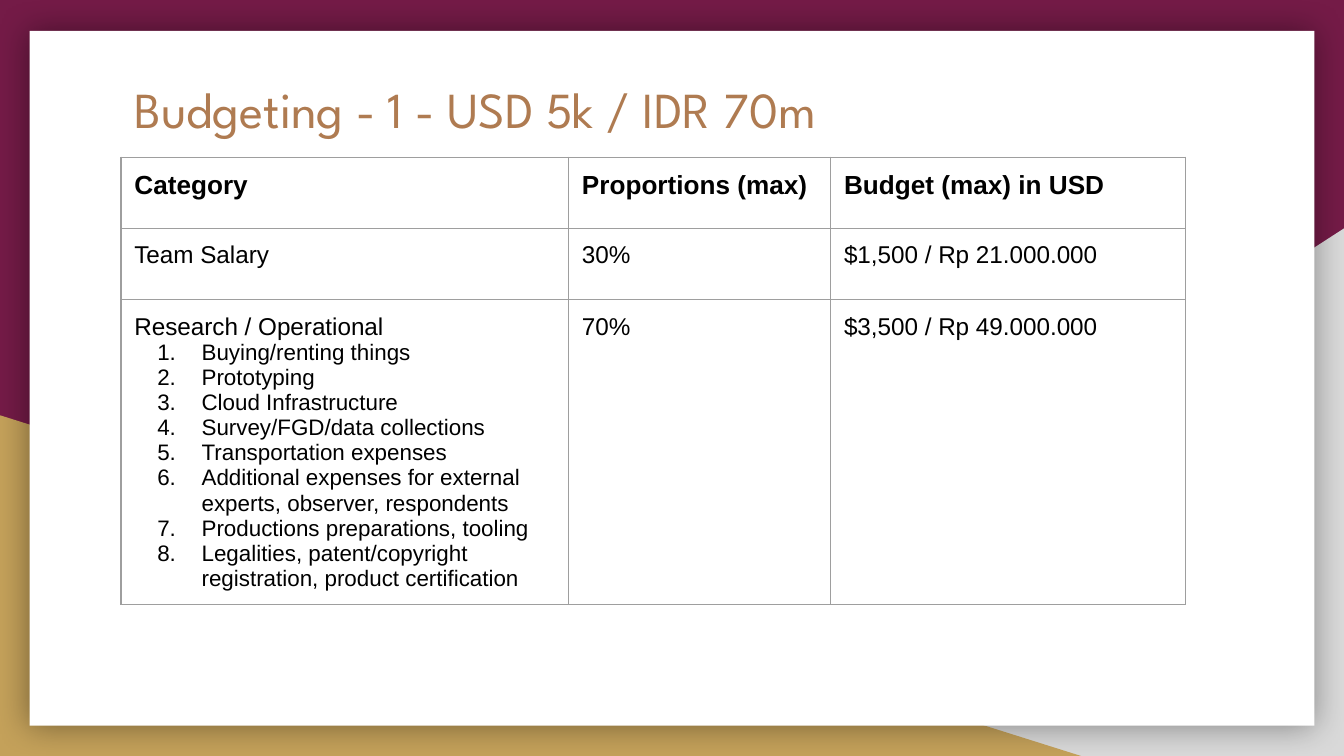
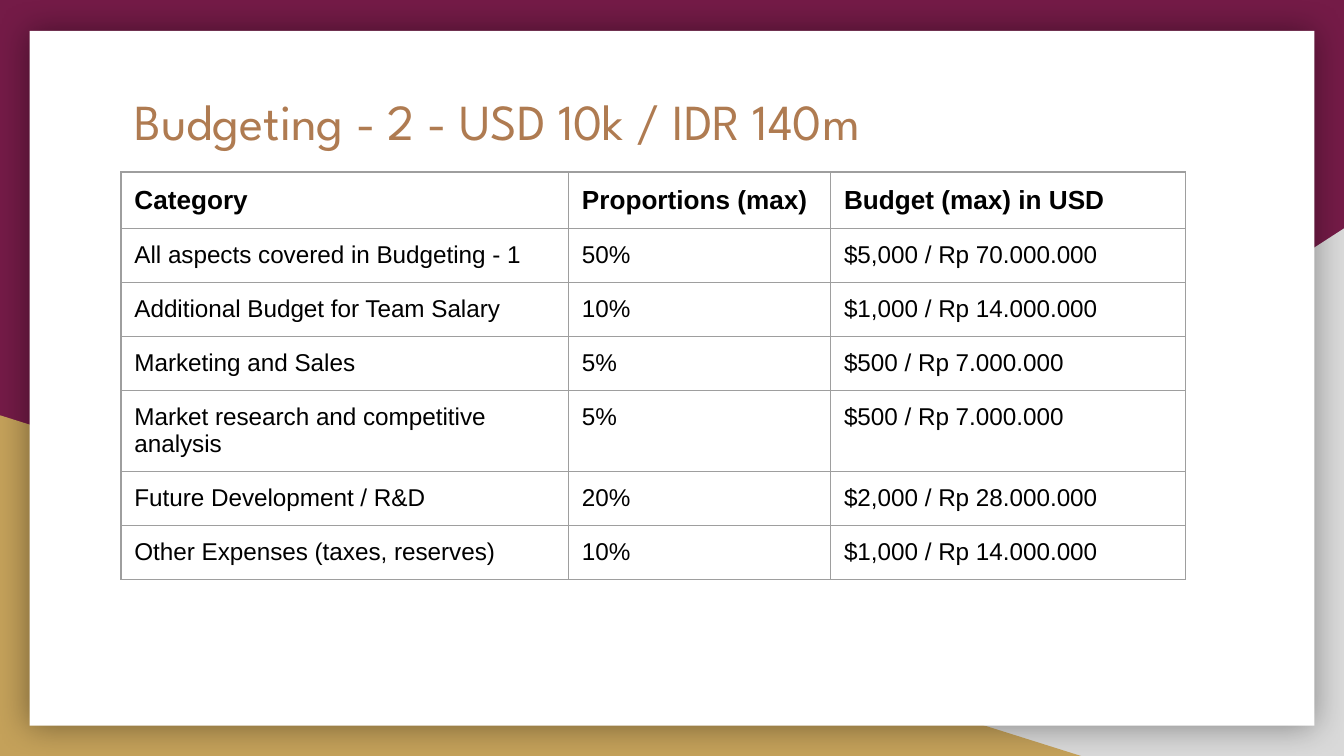
from lxml import etree
from pptx import Presentation
from pptx.dml.color import RGBColor
from pptx.enum.shapes import MSO_SHAPE
from pptx.enum.text import MSO_ANCHOR, MSO_AUTO_SIZE, PP_ALIGN
from pptx.oxml.ns import qn
from pptx.util import Inches, Pt

TRIANGLE = MSO_SHAPE.RIGHT_TRIANGLE
RECTANGLE = MSO_SHAPE.RECTANGLE
TOP = MSO_ANCHOR.TOP
LEFT = PP_ALIGN.LEFT
FIXED_SIZE = MSO_AUTO_SIZE.NONE

BURGUNDY, GOLD, GREY, WHITE = "741B47", "C4A15A", "D9D9D9", "FFFFFF"
BRONZE, BLACK, RULE = "AF7B51", "000000", "9E9E9E"
TITLE_FONT, BODY_FONT = "League Spartan", "Arial"
MARGIN = 0.9
COLUMN_WIDTHS = (3.33, 1.95, 2.64)
HEADINGS = ("Category", "Proportions (max)", "Budget (max) in USD")


def rgb(value):
    return RGBColor.from_string(value)


def add_color(parent, value):
    return etree.SubElement(parent, qn("a:srgbClr"), val=value)


class Deck:
    def __init__(self):
        self.prs = Presentation()
        self.prs.slide_width = Inches(10)
        self.prs.slide_height = Inches(10) * 9 // 16
        self.layout = self.prs.slide_layouts[5]
        self.slide = None

    def new_slide(self):
        self.slide = self.prs.slides.add_slide(self.layout)

    def backdrop(self):
        background = self.layout.background.fill
        background.solid()
        background.fore_color.rgb = rgb(BURGUNDY)
        grey_corner = self.panel(TRIANGLE, 3.92, 1.7, 6.08, 3.93, GREY)
        grey_corner.element.spPr.find(qn("a:xfrm")).set("flipH", "1")
        gold_corner = self.panel(TRIANGLE, 0, 3.09, 8.06, 2.54, GOLD)
        page = self.panel(RECTANGLE, 0.22, 0.23, 9.56, 5.17, WHITE)
        self.glow(page)
        for part in (grey_corner, gold_corner, page):
            self.layout.shapes.element.append(part.element)

    def panel(self, kind, left, top, width, height, color):
        panel = self.slide.shapes.add_shape(
            kind, Inches(left), Inches(top), Inches(width), Inches(height))
        panel.shadow.inherit = False
        panel.fill.solid()
        panel.fill.fore_color.rgb = rgb(color)
        panel.line.fill.background()
        return panel

    def glow(self, panel):
        effects = panel.element.spPr.find(qn("a:effectLst"))
        shadow = etree.SubElement(
            effects, qn("a:outerShdw"), blurRad=str(Pt(18)), dist="0",
            algn="ctr", rotWithShape="0")
        etree.SubElement(add_color(shadow, BLACK), qn("a:alpha"), val="40000")

    def style(self, paragraph, font_name, size, color, bold=False):
        font = paragraph.font
        font.name = font_name
        font.size = Pt(size)
        font.bold = bold
        font.color.rgb = rgb(color)

    def title(self, text, top):
        title = self.slide.shapes.title
        title.left, title.top = Inches(MARGIN), Inches(top)
        title.width, title.height = Inches(8.21), Inches(0.62)
        frame = title.text_frame
        frame.text = text
        frame.word_wrap = True
        frame.auto_size = FIXED_SIZE
        frame.vertical_anchor = TOP
        frame.margin_left = frame.margin_right = Inches(0.1)
        frame.margin_top = frame.margin_bottom = Inches(0.1)
        frame.paragraphs[0].alignment = LEFT
        self.style(frame.paragraphs[0], TITLE_FONT, 27, BRONZE)

    def budget(self, top, row_heights, entries):
        rows = [HEADINGS, *entries]
        table = self.slide.shapes.add_table(
            len(rows), len(HEADINGS), Inches(MARGIN), Inches(top),
            Inches(sum(COLUMN_WIDTHS)), Inches(sum(row_heights))).table
        table.first_row = table.horz_banding = False
        for column, width in zip(table.columns, COLUMN_WIDTHS):
            column.width = Inches(width)
        for row, height in zip(table.rows, row_heights):
            row.height = Inches(height)
        for r, row in enumerate(rows):
            for c, text in enumerate(row):
                self.cell(table.cell(r, c), text, heading=r == 0)
        return table

    def cell(self, cell, text, heading):
        cell.text = text
        cell.margin_left = cell.margin_right = Inches(0.1)
        cell.margin_top = cell.margin_bottom = Inches(0.1)
        cell.fill.background()
        self.style(cell.text_frame.paragraphs[0], BODY_FONT,
                   14 if heading else 13, BLACK, heading)
        properties = cell._tc.get_or_add_tcPr()
        for position, side in enumerate(("lnL", "lnR", "lnT", "lnB")):
            border = etree.Element(qn(f"a:{side}"), w=str(Pt(0.75)))
            add_color(etree.SubElement(border, qn("a:solidFill")), RULE)
            properties.insert(position, border)

    def numbered_list(self, cell, items):
        for item in items:
            paragraph = cell.text_frame.add_paragraph()
            paragraph.text = item
            properties = paragraph._p.get_or_add_pPr()
            properties.set("marL", str(Inches(0.5)))
            properties.set("indent", str(Inches(-0.33)))
            add_color(etree.SubElement(properties, qn("a:buClr")), BLACK)
            etree.SubElement(properties, qn("a:buFont"), typeface=BODY_FONT)
            etree.SubElement(properties, qn("a:buAutoNum"), type="arabicPeriod")
            self.style(paragraph, BODY_FONT, 12, BLACK)


def main():
    deck = Deck()

    deck.new_slide()
    deck.backdrop()
    deck.title("Budgeting - 1 - USD 5k / IDR 70m", 0.48)
    first_budget = deck.budget(1.17, (0.53, 0.53, 0.82), [
        ("Team Salary", "30%", "$1,500 / Rp 21.000.000"),
        ("Research / Operational", "70%", "$3,500 / Rp 49.000.000"),
    ])
    deck.numbered_list(first_budget.cell(2, 0), [
        "Buying/renting things",
        "Prototyping",
        "Cloud Infrastructure",
        "Survey/FGD/data collections",
        "Transportation expenses",
        "Additional expenses for external experts, observer, respondents",
        "Productions preparations, tooling",
        "Legalities, patent/copyright registration, product certification",
    ])

    deck.new_slide()
    deck.title("Budgeting - 2 - USD 10k / IDR 140m", 0.57)
    deck.budget(1.28, (0.12,) * 2 + (0.19,) * 5, [
        ("All aspects covered in Budgeting - 1", "50%", "$5,000 / Rp 70.000.000"),
        ("Additional Budget for Team Salary", "10%", "$1,000 / Rp 14.000.000"),
        ("Marketing and Sales", "5%", "$500 / Rp 7.000.000"),
        ("Market research and competitive analysis", "5%", "$500 / Rp 7.000.000"),
        ("Future Development / R&D", "20%", "$2,000 / Rp 28.000.000"),
        ("Other Expenses (taxes, reserves)", "10%", "$1,000 / Rp 14.000.000"),
    ])

    deck.prs.save("out.pptx")


if __name__ == "__main__":
    main()
